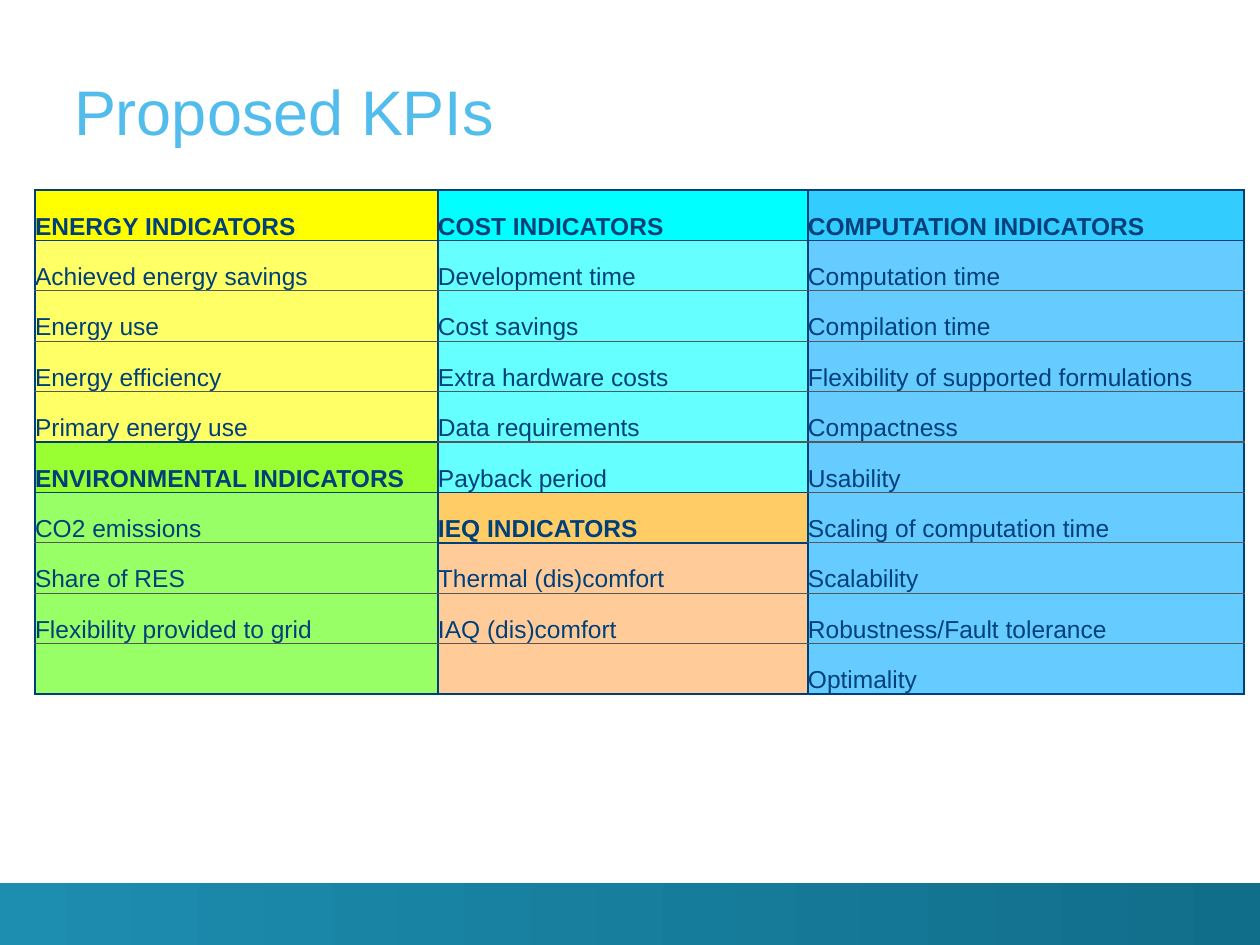
from lxml import etree
from pptx import Presentation
from pptx.dml.color import RGBColor
from pptx.enum.shapes import MSO_SHAPE
from pptx.enum.text import MSO_ANCHOR, PP_ALIGN
from pptx.oxml.ns import qn
from pptx.util import Pt

RECTANGLE = MSO_SHAPE.RECTANGLE
BOTTOM = MSO_ANCHOR.BOTTOM
LEFT = PP_ALIGN.LEFT

EMU_PER_PX = 914400 / 126
TITLE_ONLY = 5
FONT = "Arial"
NAVY, GREY = "00407A", "575757"
STRONG_LINE, THIN_LINE = (NAVY, 1), (GREY, 0.75)

ROWS = 10
COLUMN_WIDTHS = [403, 370, 436]

# Each column holds groups: heading, heading fill, item fill, items
COLUMNS = [
    [
        ("ENERGY INDICATORS", "FFFF00", "FFFF66",
         ["Achieved energy savings", "Energy use", "Energy efficiency",
          "Primary energy use"]),
        ("ENVIRONMENTAL INDICATORS", "99FF33", "99FF66",
         ["CO2 emissions", "Share of RES", "Flexibility provided to grid", ""]),
    ],
    [
        ("COST INDICATORS", "00FFFF", "66FFFF",
         ["Development time", "Cost savings", "Extra hardware costs",
          "Data requirements", "Payback period"]),
        ("IEQ INDICATORS", "FFCC66", "FFCC99",
         ["Thermal (dis)comfort", "IAQ (dis)comfort", ""]),
    ],
    [
        ("COMPUTATION INDICATORS", "33CCFF", "66CCFF",
         ["Computation time", "Compilation time",
          "Flexibility of supported formulations", "Compactness", "Usability",
          "Scaling of computation time", "Scalability",
          "Robustness/Fault tolerance", "Optimality"]),
    ],
]


def px(n):
    return round(n * EMU_PER_PX)


def rgb(color):
    return RGBColor.from_string(color)


def style_text(tf, text, size, color, bold=False):
    tf.margin_left = tf.margin_top = tf.margin_right = tf.margin_bottom = 0
    p = tf.paragraphs[0]
    p.alignment = LEFT
    p.font.name, p.font.size, p.font.bold = FONT, Pt(size), bold
    p.font.color.rgb = rgb(color)
    if text:
        p.add_run().text = text


def add_band(slide):
    sp = slide.shapes.add_shape(RECTANGLE, 0, px(883), px(1260), px(67))
    sp.shadow.inherit = False
    sp.line.fill.background()
    sp.fill.gradient()
    sp.fill.gradient_angle = 0
    for stop, color in zip(sp.fill.gradient_stops, ("1D8DB0", "116E8A")):
        stop.color.rgb = rgb(color)


def set_title(slide, text):
    title = slide.shapes.title
    title.left, title.top, title.width, title.height = map(px, (74, 25, 1148, 123))
    title.text_frame.vertical_anchor = BOTTOM
    style_text(title.text_frame, text, 36, "52BDEC")


def set_border(cell, side, line):
    color, width = line
    ln = etree.SubElement(cell._tc.get_or_add_tcPr(), qn(f"a:ln{side}"), w=str(Pt(width)))
    fill = etree.SubElement(ln, qn("a:solidFill"))
    etree.SubElement(fill, qn("a:srgbClr"), val=color)


def format_cell(cell, text, fill, is_heading, top, bottom):
    # Borders come before the fill in the cell properties
    for side, line in zip("LRTB", (STRONG_LINE, STRONG_LINE, top, bottom)):
        set_border(cell, side, line)
    cell.fill.solid()
    cell.fill.fore_color.rgb = rgb(fill)
    cell.vertical_anchor = BOTTOM
    cell.margin_left = cell.margin_top = cell.margin_right = cell.margin_bottom = 0
    p = cell.text_frame.paragraphs[0]
    p.font.name, p.font.size, p.font.bold = FONT, Pt(14), is_heading
    p.font.color.rgb = rgb(NAVY)
    if text:
        p.add_run().text = text


def column_entries(groups):
    entries = []
    for heading, heading_fill, item_fill, items in groups:
        entries.append((heading, heading_fill, True))
        entries += [(item, item_fill, False) for item in items]
    return entries


def add_kpi_table(slide):
    table = slide.shapes.add_table(ROWS, len(COLUMNS), px(35), px(190),
                                   px(sum(COLUMN_WIDTHS)), px(504)).table
    table.first_row = table.horz_banding = False
    for c, (width, groups) in enumerate(zip(COLUMN_WIDTHS, COLUMNS)):
        table.columns[c].width = px(width)
        entries = column_entries(groups)
        # Lines are strong at the column ends and around headings
        headings = [is_heading for _, _, is_heading in entries]
        strong = [True] + [a or b for a, b in zip(headings, headings[1:])] + [True]
        lines = [STRONG_LINE if s else THIN_LINE for s in strong]
        for r, entry in enumerate(entries):
            format_cell(table.cell(r, c), *entry, lines[r], lines[r + 1])


def main():
    prs = Presentation()
    prs.slide_width, prs.slide_height = px(1260), px(945)
    slide = prs.slides.add_slide(prs.slide_layouts[TITLE_ONLY])
    add_band(slide)
    add_kpi_table(slide)
    set_title(slide, "Proposed KPIs")
    prs.save("out.pptx")


if __name__ == "__main__":
    main()
